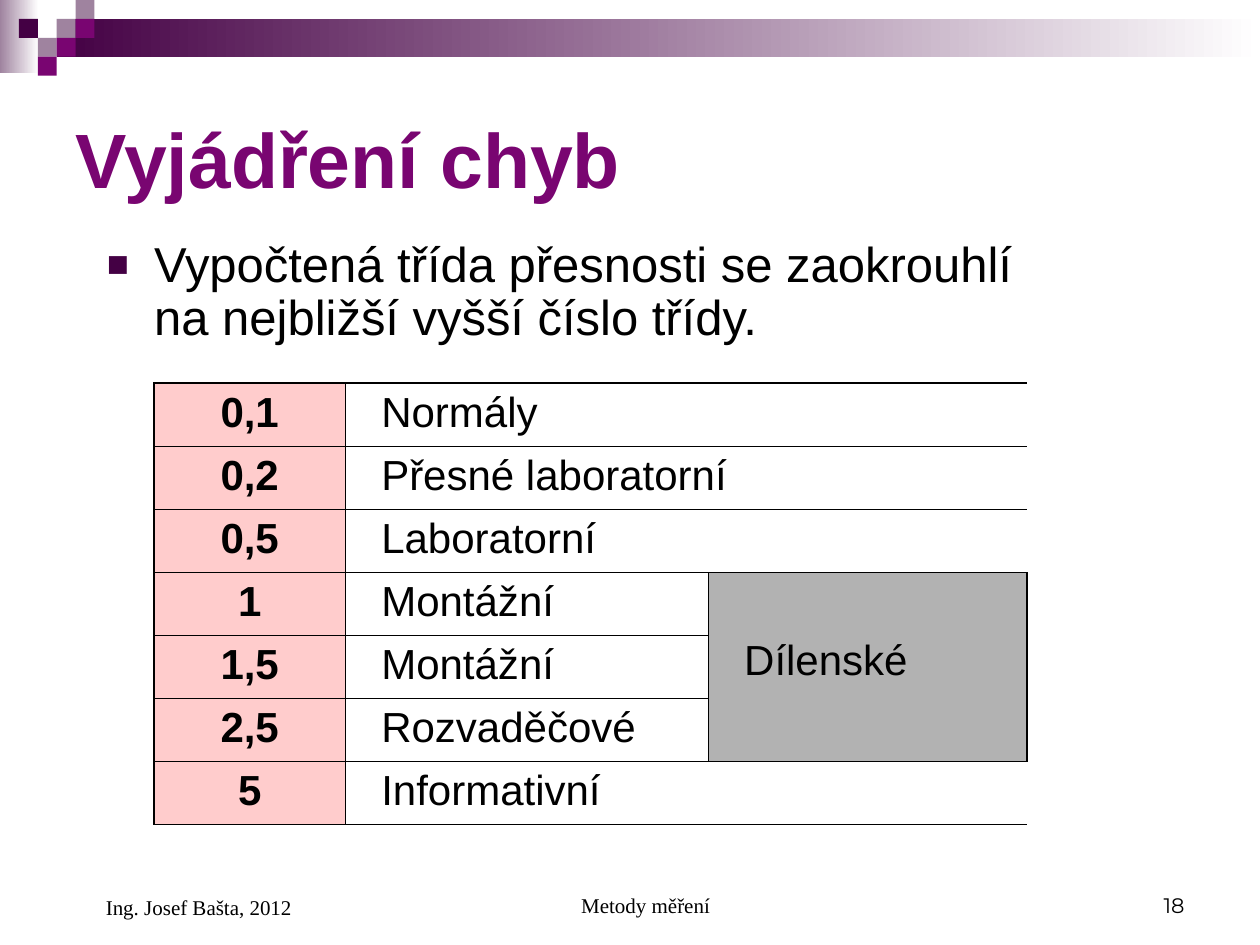
from lxml import etree
from pptx import Presentation
from pptx.dml.color import RGBColor
from pptx.enum.shapes import MSO_SHAPE
from pptx.enum.text import MSO_ANCHOR as Anchor, MSO_AUTO_SIZE, PP_ALIGN as Align
from pptx.oxml.ns import qn
from pptx.util import Pt

COLORS = {"dark": "440044", "mauve": "9F839F", "purple": "790571", "white": "FFFFFF",
          "black": "000000", "pink": "FFCCCC", "grey": "B2B2B2"}

TITLE = "Vyjádření chyb"
BODY = "Vypočtená třída přesnosti se zaokrouhlí\nna nejbližší vyšší číslo třídy."

# accuracy class, instrument kind, columns taken by the kind
CLASSES = [
    ("0,1", "Normály", 2),
    ("0,2", "Přesné laboratorní", 2),
    ("0,5", "Laboratorní", 2),
    ("1", "Montážní", 1),
    ("1,5", "Montážní", 1),
    ("2,5", "Rozvaděčové", 1),
    ("5", "Informativní", 2),
]
WORKSHOP = "Dílenské"
WORKSHOP_ROW, WORKSHOP_ROWS = 3, 3

# text, left, top, width, height, format
FOOTERS = [
    ("Metody měření", 246.2, 491.8, 228.2, 36,
     dict(align=Align.CENTER, font="Times New Roman", margin_left=24.5)),
    ("18", 516.2, 491.8, 167.8, 36, dict(align=Align.RIGHT, font="Montserrat")),
    ("Ing. Josef Bašta, 2012", 36, 491.8, 167.8, 37.4,
     dict(font="Times New Roman", margin_left=24.5)),
]

SQUARE = 10.8
# column, row on the grid of squares
SQUARES = [(3, 1, "mauve"), (4, 0, "mauve"), (4, 1, "purple"), (2, 2, "mauve"),
           (1, 1, "dark"), (3, 2, "purple"), (2, 3, "purple")]
# left, top, width, height, colour that fades to white
FADES = [(0, 0, 22, 41.8, "mauve"), (3 * SQUARE, SQUARE, 687.6, 2 * SQUARE, "dark")]

TABLE_LEFT, TABLE_TOP, ROW_HEIGHT = 88, 219, 35.9
COLUMN_WIDTHS = [109.4, 207.4, 182.2]
OUTER, INNER = 1.08, 0.45
KIND_MARGIN = 20.5


def color(name):
    return RGBColor.from_string(COLORS[name])


def write(frame, text, size=12, font="Arial", ink="black", bold=False, align=Align.LEFT,
          anchor=None, margin_left=7.2):
    frame.word_wrap = True
    if anchor is not None:
        frame.vertical_anchor = anchor
    frame.margin_left, frame.margin_right = Pt(margin_left), Pt(7.2)
    frame.margin_top = frame.margin_bottom = Pt(3.6)
    para = frame.paragraphs[0]
    para.text = text
    para.alignment = align
    for span in para.runs:
        span.font.size, span.font.name, span.font.bold = Pt(size), font, bold
        span.font.color.rgb = color(ink)
    return para


def add_block(slide, left, top, width, height):
    block = slide.shapes.add_shape(MSO_SHAPE.RECTANGLE, Pt(left), Pt(top), Pt(width), Pt(height))
    block.shadow.inherit = False
    block.line.fill.background()
    return block


def add_banner(slide):
    for *place, name in FADES:
        fill = add_block(slide, *place).fill
        fill.gradient()
        fill.gradient_angle = 0
        for stop, shade in zip(fill.gradient_stops, (name, "white")):
            stop.position = 0 if shade == name else 1
            stop.color.rgb = color(shade)
    for column, row, name in SQUARES:
        fill = add_block(slide, column * SQUARE, row * SQUARE, SQUARE, SQUARE).fill
        fill.solid()
        fill.fore_color.rgb = color(name)


def add_bullet(para):
    properties = para._p.get_or_add_pPr()
    properties.set("marL", str(Pt(27)))
    properties.set("indent", str(-Pt(27)))
    shade = etree.SubElement(properties, qn("a:buClr"))
    etree.SubElement(shade, qn("a:srgbClr"), val=COLORS["dark"])
    etree.SubElement(properties, qn("a:buSzPct"), val="75000")
    etree.SubElement(properties, qn("a:buFont"), typeface="Arial")
    etree.SubElement(properties, qn("a:buChar"), char="■")


def add_border(cell, side, width):
    """Draw one side of a cell; a width of None hides it."""
    line = etree.SubElement(cell._tc.get_or_add_tcPr(), qn("a:ln" + side))
    if width is None:
        etree.SubElement(line, qn("a:noFill"))
        return
    line.set("w", str(Pt(width)))
    fill = etree.SubElement(line, qn("a:solidFill"))
    etree.SubElement(fill, qn("a:srgbClr"), val=COLORS["black"])


def fill_region(table, row, column, rows, columns, text, fill=None, **style):
    """Merge a block of cells, border its edges and write its text."""
    origin = table.cell(row, column)
    bottom, right = row + rows - 1, column + columns - 1
    if rows * columns > 1:
        origin.merge(table.cell(bottom, right))
    last_row, last_column = len(CLASSES) - 1, len(COLUMN_WIDTHS) - 1
    for r in range(row, bottom + 1):
        for c in range(column, right + 1):
            cell = table.cell(r, c)
            for side, at, edge, limit in (("L", c, column, 0), ("R", c, right, last_column),
                                          ("T", r, row, 0), ("B", r, bottom, last_row)):
                width = OUTER if at == limit else INNER
                add_border(cell, side, width if at == edge else None)
            if fill:
                cell.fill.solid()
                cell.fill.fore_color.rgb = color(fill)
            else:
                cell.fill.background()
    margin_left = style.pop("margin_left", 7.2)
    write(origin.text_frame, text, size=24, **style)
    origin.vertical_anchor = Anchor.TOP
    origin.margin_left, origin.margin_right = Pt(margin_left), Pt(7.2)
    origin.margin_top = origin.margin_bottom = Pt(3.6)
    return origin


def add_class_table(slide):
    frame = slide.shapes.add_table(len(CLASSES), len(COLUMN_WIDTHS), Pt(TABLE_LEFT), Pt(TABLE_TOP),
                                   Pt(sum(COLUMN_WIDTHS)), Pt(ROW_HEIGHT * len(CLASSES)))
    table = frame.table
    table.first_row = table.horz_banding = False
    for column, width in zip(table.columns, COLUMN_WIDTHS):
        column.width = Pt(width)
    for row in table.rows:
        row.height = Pt(ROW_HEIGHT)
    for index, (number, kind, columns) in enumerate(CLASSES):
        fill_region(table, index, 0, 1, 1, number, "pink", bold=True, align=Align.CENTER)
        fill_region(table, index, 1, 1, columns, kind, margin_left=KIND_MARGIN)
    workshop = fill_region(table, WORKSHOP_ROW, 2, WORKSHOP_ROWS, 1, WORKSHOP, "grey",
                           margin_left=KIND_MARGIN)
    workshop.margin_top = Pt(37.2)


def add_text(slide, text, left, top, width, height, **style):
    box = slide.shapes.add_textbox(Pt(left), Pt(top), Pt(width), Pt(height))
    return write(box.text_frame, text, **style)


def main():
    deck = Presentation()
    deck.slide_width, deck.slide_height = Pt(720), Pt(540)
    slide = deck.slides.add_slide(deck.slide_layouts[5])
    add_banner(slide)

    title = slide.shapes.title
    title.left, title.top, title.width, title.height = Pt(36), Pt(36), Pt(648), Pt(108)
    title.text_frame.auto_size = MSO_AUTO_SIZE.NONE
    write(title.text_frame, TITLE, size=44, ink="purple", bold=True, anchor=Anchor.MIDDLE)

    body = add_text(slide, BODY, 54, 133.9, 583.9, 74.2, size=28, anchor=Anchor.TOP)
    add_bullet(body)
    body.line_spacing = 0.9

    add_class_table(slide)
    for text, *place, style in FOOTERS:
        add_text(slide, text, *place, anchor=Anchor.BOTTOM, **style)
    deck.save("out.pptx")


if __name__ == "__main__":
    main()
